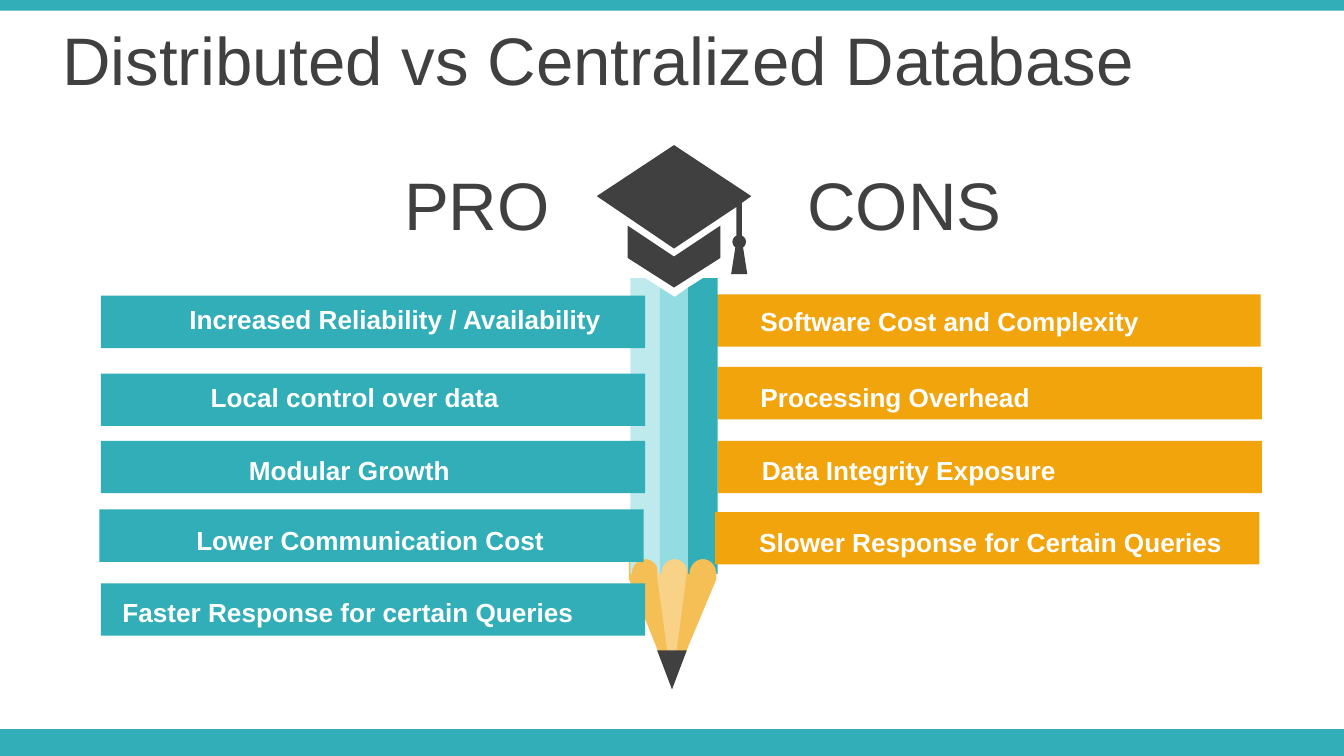
from dataclasses import dataclass
from math import cos, radians, sin

from pptx import Presentation
from pptx.dml.color import RGBColor
from pptx.enum.shapes import MSO_SHAPE
from pptx.enum.text import MSO_ANCHOR, PP_ALIGN
from pptx.shapes.autoshape import Shape
from pptx.slide import Slide
from pptx.util import Inches, Pt

COLUMNS, ROWS = 100, 56.25
CELL = Inches(10) / COLUMNS
TEAL, ORANGE, DARK, WHITE = "32AEB8", "F2A40D", "404040", "FFFFFF"
WOOD, LIGHT_WOOD = "F6BF56", "F8D286"
BAR_WIDTH, BAR_HEIGHT, LABEL_HEIGHT = 40.5, 3.9, 3.4
HEADING = {"name": "Arial", "size": Pt(36), "bold": False}
LABEL = {"name": "Arial", "size": Pt(14), "bold": True}

Point = tuple[float, float]


@dataclass(frozen=True)
class Box:
    """An area in grid cells."""

    left: float
    top: float
    width: float
    height: float


@dataclass(frozen=True)
class Argument:
    """A coloured bar and the place of its label."""

    text: str
    left: float
    top: float
    label_left: float
    label_top: float
    label_width: float


@dataclass(frozen=True)
class Stripe:
    """One long face of the pencil."""

    left: float
    color: str
    top: list[Point]


PROS = [
    Argument("Increased Reliability / Availability", 7.5, 22, 10.8, 22.1, 37.2),
    Argument("Local control over data", 7.5, 27.8, 8.3, 27.9, 36.2),
    Argument("Modular Growth", 7.5, 32.8, 7.5, 33.3, 37),
    Argument("Lower Communication Cost", 7.4, 37.9, 7.3, 38.5, 40.5),
    Argument("Faster Response for certain Queries", 7.5, 43.4, 7.4, 43.9, 37),
]
CONS = [
    Argument("Software Cost and Complexity", 53.3, 21.9, 55.6, 22.2, 36.9),
    Argument("Processing Overhead", 53.4, 27.3, 55.6, 27.9, 25.9),
    Argument("Data Integrity Exposure", 53.4, 32.8, 55.7, 33.3, 25.9),
    Argument("Slower Response for Certain Queries", 53.2, 38.1, 55.5, 38.7, 40.5),
]
STRIPES = [
    Stripe(46.9, "BEEAED", [(46.9, 20.7), (48, 20.7), (49.1, 21.4)]),
    Stripe(49.1, "92DCE2", [(49.1, 21.4), (50.2, 22.1), (51.2, 21.4)]),
    Stripe(51.2, TEAL, [(51.2, 21.4), (52.3, 20.7), (53.4, 20.7)]),
]


def emu(cells: float) -> int:
    """Convert grid cells to slide units."""
    return round(cells * CELL)


def color(value: str) -> RGBColor:
    """Turn a hex string into a colour."""
    return RGBColor.from_string(value)


def paint(shape: Shape, fill: str) -> Shape:
    """Give a shape a flat fill without outline or shadow."""
    shape.shadow.inherit = False
    shape.fill.solid()
    shape.fill.fore_color.rgb = color(fill)
    shape.line.fill.background()
    return shape


def add_block(slide: Slide, box: Box, fill: str, kind=MSO_SHAPE.RECTANGLE) -> Shape:
    """Draw a preset shape."""
    area = map(emu, (box.left, box.top, box.width, box.height))
    return paint(slide.shapes.add_shape(kind, *area), fill)


def add_text(slide: Slide, box: Box, text: str, style: dict, fill: str,
             align=PP_ALIGN.CENTER, anchor=MSO_ANCHOR.TOP) -> None:
    """Write one line of text in a box."""
    area = map(emu, (box.left, box.top, box.width, box.height))
    frame = slide.shapes.add_textbox(*area).text_frame
    frame.word_wrap = True
    frame.vertical_anchor = anchor
    paragraph = frame.paragraphs[0]
    paragraph.alignment = align
    run = paragraph.add_run()
    run.text = text
    for name, value in style.items():
        setattr(run.font, name, value)
    run.font.color.rgb = color(fill)


def add_outline(slide: Slide, contours: list[list[Point]], fill: str) -> None:
    """Draw closed contours as one freeform."""
    builder = slide.shapes.build_freeform(*map(emu, contours[0][0]), scale=1.0)
    for index, contour in enumerate(contours):
        points = [(emu(x), emu(y)) for x, y in contour]
        if index:
            builder.move_to(*points[0])
        builder.add_line_segments(points[1:], close=True)
    paint(builder.convert_to_shape(), fill)


def arc(center: Point, radius: Point, start: int, end: int) -> list[Point]:
    """Sample an elliptical arc between two angles in degrees."""
    steps = 24
    angles = [radians(start + (end - start) * step / steps) for step in range(steps + 1)]
    return [(center[0] + radius[0] * cos(angle), center[1] + radius[1] * sin(angle))
            for angle in angles]


def add_pencil(slide: Slide) -> None:
    """Draw the wood, the striped barrel and the lead."""
    add_outline(slide, [[(46.8, 41.5), (53.3, 41.6), (53.3, 43.1), (50, 51), (46.8, 43.1)]], WOOD)
    add_outline(slide, [[(48.9, 41.5), (51.1, 41.5), (51.1, 42.6), (50, 51), (48.9, 43)]], LIGHT_WOOD)
    for stripe in STRIPES:
        right = stripe.top[-1][0]
        scallop = arc((stripe.left + 1.1, 42.7), (1, 1.1), 0, -180)
        add_outline(slide, [[*stripe.top, (right, 42.7), *scallop, (stripe.left, 42.7)]], stripe.color)
    add_block(slide, Box(48.9, 48.4, 2.2, 2.9), DARK, MSO_SHAPE.ISOSCELES_TRIANGLE).rotation = 180


def add_cap(slide: Slide) -> None:
    """Draw the graduation cap with its tassel."""
    band = [(46.7, 16.8), (50.15, 19.1), (53.6, 16.8), (53.6, 19.2), (50.15, 21.4), (46.7, 19.2)]
    knot, radius = (55, 18), (0.5, 0.5)
    board = [(50.15, 10.8), (55.9, 14.6), (55.2, 15.1),
             *arc(knot, radius, -66, 55), (55.6, 20.4), (54.4, 20.4),
             *arc(knot, radius, 125, 246), (54.8, 15.4), (50.15, 18.5), (44.4, 14.6)]
    add_outline(slide, [band, board], DARK)


def add_arguments(slide: Slide, arguments: list[Argument], fill: str, align: PP_ALIGN) -> None:
    """Draw labelled bars."""
    for item in arguments:
        add_block(slide, Box(item.left, item.top, BAR_WIDTH, BAR_HEIGHT), fill)
        label = Box(item.label_left, item.label_top, item.label_width, LABEL_HEIGHT)
        add_text(slide, label, item.text, LABEL, WHITE, align)


def main() -> None:
    """Build and save the slide."""
    presentation = Presentation()
    presentation.slide_width, presentation.slide_height = emu(COLUMNS), emu(ROWS)
    slide = presentation.slides.add_slide(presentation.slide_layouts[6])
    add_block(slide, Box(0, ROWS - 2, COLUMNS, 2), TEAL)
    add_block(slide, Box(0, 0, COLUMNS, 0.8), TEAL)
    for box, text in [(Box(-5.5, 1.2, COLUMNS, 6.3), "Distributed vs Centralized Database"),
                      (Box(2.3, 13, COLUMNS, 4.3), "PRO\t\t\t\tCONS")]:
        add_text(slide, box, text, HEADING, DARK, anchor=MSO_ANCHOR.MIDDLE)
    add_arguments(slide, CONS[:3], ORANGE, PP_ALIGN.LEFT)
    add_pencil(slide)
    add_cap(slide)
    add_arguments(slide, PROS, TEAL, PP_ALIGN.CENTER)
    add_arguments(slide, CONS[3:], ORANGE, PP_ALIGN.LEFT)
    presentation.save("out.pptx")


if __name__ == "__main__":
    main()
